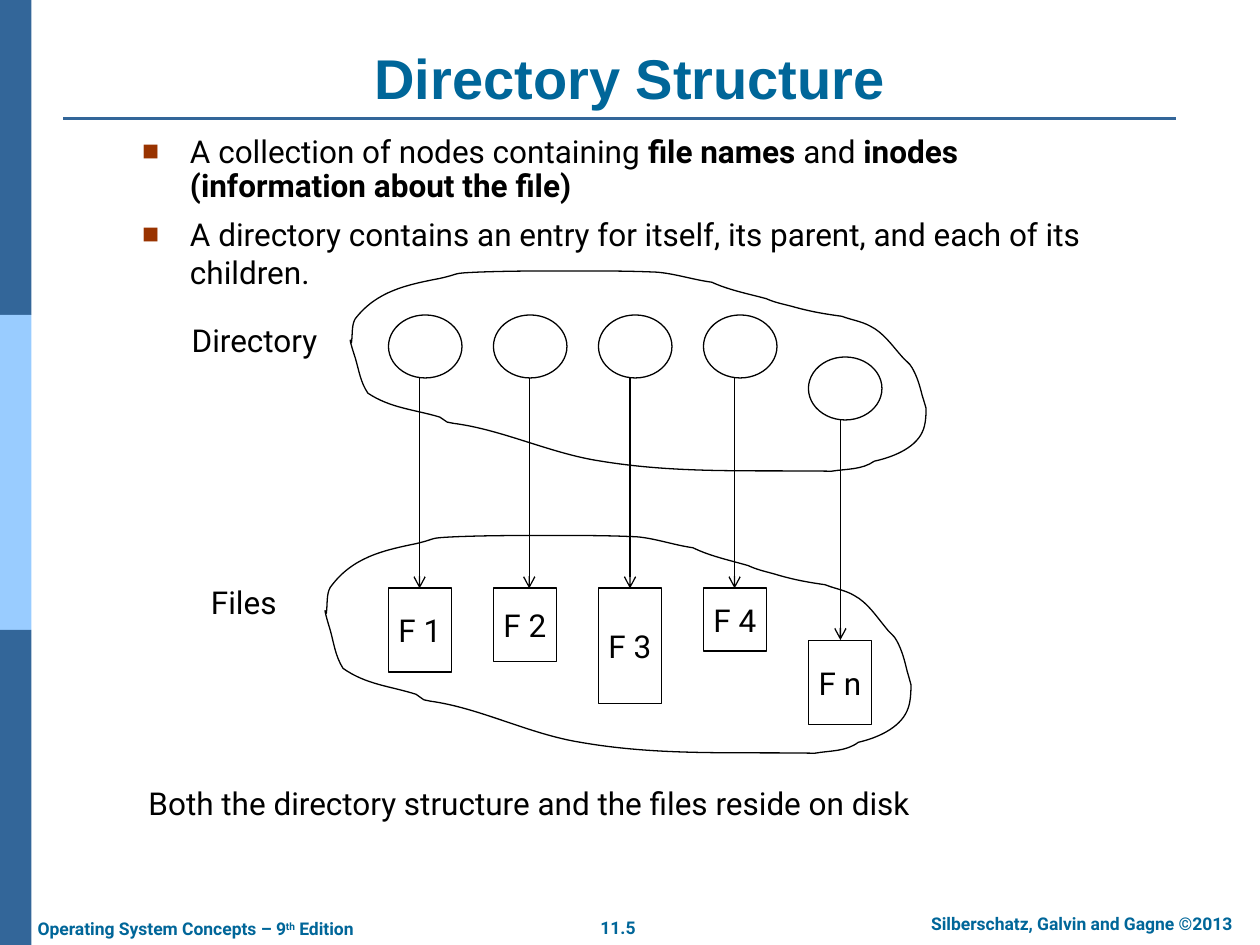
from lxml.etree import SubElement
from pptx import Presentation
from pptx.dml.color import RGBColor
from pptx.enum.shapes import MSO_CONNECTOR as Connector, MSO_SHAPE as Shape
from pptx.enum.text import MSO_ANCHOR as Anchor, PP_ALIGN as Align
from pptx.oxml.ns import qn
from pptx.util import Inches, Pt

BLUE, SKY, BLACK, WHITE = "336699", "99CCFF", "000000", "FFFFFF"
TEAL, RUST = "006699", "993300"
UNIT = 1 / 12  # grid step of the drawing, in inches


def color(code):
    return RGBColor.from_string(code)


def write(shape, lines, size=18, ink=BLACK, font="Roboto", bold=False,
          align=Align.LEFT, anchor=Anchor.TOP, wrap=True):
    """Fill a shape with paragraphs, each a list of (text, bold) runs."""
    frame = shape.text_frame
    frame.word_wrap, frame.vertical_anchor = wrap, anchor
    for index, line in enumerate(lines):
        para = frame.paragraphs[0] if index == 0 else frame.add_paragraph()
        para.alignment = align
        para.font.size, para.font.name, para.font.bold = Pt(size), font, bold
        para.font.color.rgb = color(ink)
        for text, strong in line:
            span = para.add_run()
            span.text = text
            if strong:
                span.font.bold = True
    return frame.paragraphs


deck = Presentation()
deck.slide_width, deck.slide_height = Inches(10), Inches(7.5)
page = deck.slides.add_slide(deck.slide_layouts[6])
shapes = page.shapes

# Side bar in three equal bands
for row, band_color in enumerate((BLUE, SKY, BLUE)):
    band = shapes.add_shape(Shape.RECTANGLE, 0, Inches(2.5 * row), Inches(0.25), Inches(2.5))
    band.shadow.inherit = False
    band.fill.solid()
    band.fill.fore_color.rgb = color(band_color)
    band.line.fill.background()

# Title and footer
for text, place, size, font, align, anchor in (
    ("Directory Structure", (0.5, 0.3, 9, 0.63), 32, "Arial", Align.CENTER, Anchor.BOTTOM),
    ("11.5", (4.62, 7.23, 0.57, 0.27), 10, "Roboto", Align.CENTER, Anchor.TOP),
    ("Silberschatz, Galvin and Gagne ©2013", (7.1, 7.2, 2.97, 0.27), 10, "Roboto",
     Align.CENTER, Anchor.TOP),
):
    box = shapes.add_textbox(*map(Inches, place))
    write(box, [[(text, False)]], size, TEAL, font, True, align, anchor)

box = shapes.add_textbox(Inches(0.2), Inches(7.24), Inches(2.88), Inches(0.27))
edition = [("Operating System Concepts – 9", False), ("th", False), (" Edition", False)]
footer = write(box, [edition], 10, TEAL, bold=True)[0]
footer.runs[1].font._element.set("baseline", "30000")

# Bulleted text
box = shapes.add_textbox(Inches(1.03), Inches(1.03), Inches(8.06), Inches(0.39))
bullets = write(box, [
    [("A collection of nodes containing ", False), ("file names ", True), ("and ", False),
     ("inodes (information about the file)", True)],
    [("A directory contains an entry for itself, its parent, and each of its children.", False)],
])
bullets[0].line_spacing = 0.9
bullets[1].space_before = Pt(6.3)
for para in bullets:
    props = para._p.get_or_add_pPr()
    props.set("marL", str(Inches(0.38)))
    props.set("indent", str(-Inches(0.38)))
    defaults = props.find(qn("a:defRPr"))  # bullet marks must precede it
    for tag, key, value in (("a:buClr", None, None), ("a:buSzPct", "val", "90000"),
                            ("a:buFont", "typeface", "Arial"), ("a:buChar", "char", "■")):
        mark = SubElement(props, qn(tag))
        if key:
            mark.set(key, value)
        else:
            SubElement(mark, qn("a:srgbClr")).set("val", RUST)
        defaults.addprevious(mark)

# Directory nodes and files, in grid units:
# name, left, node top, file top, file height, arrow column
files = (
    ("F 1", 37, 30, 56, 8, 40),
    ("F 2", 47, 30, 56, 7, 50.4),
    ("F 3", 57, 30, 56, 11, 60),
    ("F 4", 67, 30, 56, 6, 70),
    ("F n", 77, 34, 61, 8, 80),
)
lines = [((0.5, 0.94, 9.33, 0.94), BLUE, 1.5, False)]  # rule under the title
for name, left, node_top, file_top, height, column in files:
    for kind, top, wide, high in ((Shape.OVAL, node_top, 7, 6),
                                  (Shape.RECTANGLE, file_top, 6, height)):
        item = shapes.add_shape(kind, *(Inches(n * UNIT) for n in (left, top, wide, high)))
        item.shadow.inherit = False
        item.fill.solid()
        item.fill.fore_color.rgb = color(WHITE)
        item.line.color.rgb = color(BLACK)
        item.line.width = Pt(0.75)
    write(item, [[(name, False)]], align=Align.CENTER, anchor=Anchor.MIDDLE, wrap=False)
    ends = [round(n * UNIT, 2) for n in (column, node_top + 6, column, file_top)]
    lines.append((ends, BLACK, 0.75, True))

# Title rule and arrows
for ends, ink, width, arrow in lines:
    line = shapes.add_connector(Connector.STRAIGHT, *map(Inches, ends))
    line.line.color.rgb = color(ink)
    line.line.width = Pt(width)
    if arrow:
        SubElement(line.line._get_or_add_ln(), qn("a:tailEnd")).set("type", "arrow")
    SubElement(line._element.spPr, qn("a:effectLst"))

# Cloud outline: a start point, then cubic curves (two controls and an end)
start = (2.79, 2.72)
curves = (
    (2.8, 2.65, 2.79, 2.58, 2.82, 2.53), (2.99, 2.31, 3.23, 2.26, 3.49, 2.21),
    (3.67, 2.17, 3.57, 2.17, 3.79, 2.16), (4.04, 2.15, 4.29, 2.15, 4.55, 2.15),
    (4.77, 2.15, 4.99, 2.15, 5.21, 2.16), (5.35, 2.17, 5.5, 2.22, 5.65, 2.24),
    (5.78, 2.3, 5.93, 2.33, 6.08, 2.37), (6.15, 2.4, 6.2, 2.41, 6.28, 2.43),
    (6.42, 2.47, 6.53, 2.49, 6.68, 2.51), (6.76, 2.54, 6.84, 2.55, 6.91, 2.59),
    (7.01, 2.64, 7.08, 2.74, 7.15, 2.82), (7.18, 2.86, 7.22, 2.88, 7.24, 2.92),
    (7.28, 2.99, 7.3, 3.06, 7.32, 3.14), (7.33, 3.17, 7.35, 3.24, 7.35, 3.24),
    (7.35, 3.28, 7.35, 3.37, 7.32, 3.43), (7.26, 3.56, 7.08, 3.63, 6.94, 3.66),
    (6.84, 3.73, 6.72, 3.72, 6.6, 3.74), (5.96, 3.73, 5.38, 3.76, 4.77, 3.66),
    (4.37, 3.6, 3.99, 3.41, 3.6, 3.36), (3.58, 3.36, 3.57, 3.35, 3.55, 3.35),
    (3.53, 3.34, 3.51, 3.32, 3.49, 3.31), (3.29, 3.25, 3.1, 3.24, 2.92, 3.12),
    (2.86, 3.03, 2.85, 2.94, 2.82, 2.84), (2.82, 2.84, 2.78, 2.72, 2.78, 2.7),
    (2.78, 2.69, 2.79, 2.71, 2.79, 2.72),
)

# The same cloud around the directory and, a little larger, around the files
for left, top, wide, high in ((2.78, 2.15, 4.58, 1.61), (2.58, 4.25, 4.66, 1.75)):
    first, *bends = [
        [(Inches(left + (x - 2.78) * wide / 4.58), Inches(top + (y - 2.15) * high / 1.61))
         for x, y in zip(numbers[::2], numbers[1::2])]
        for numbers in (start, *curves)
    ]
    builder = shapes.build_freeform(*first[0])
    builder.add_line_segments([bend[-1] for bend in bends], close=True)
    cloud = builder.convert_to_shape()
    cloud.shadow.inherit = False
    cloud.fill.background()
    cloud.line.color.rgb = color(BLACK)
    cloud.line.width = Pt(0.75)
    # turn each straight segment into its cubic curve
    segments = list(cloud._element.iter(qn("a:lnTo")))
    for segment, bend in zip(segments, bends):
        segment.tag = qn("a:cubicBezTo")
        for point in list(segment):
            segment.remove(point)
        for x, y in bend:
            point = SubElement(segment, qn("a:pt"))
            point.set("x", str(x - cloud.left))
            point.set("y", str(y - cloud.top))

# Labels and closing remark
for text, place, align, anchor in (
    ("Directory", (1.42, 2.5, 1.2, 0.4), Align.CENTER, Anchor.MIDDLE),
    ("Files", (1.57, 4.58, 0.73, 0.4), Align.CENTER, Anchor.MIDDLE),
    ("Both the directory structure and the files reside on disk", (1.08, 6.17, 8.31, 0.42),
     Align.LEFT, Anchor.TOP),
):
    box = shapes.add_textbox(*map(Inches, place))
    write(box, [[(text, False)]], align=align, anchor=anchor, wrap=align == Align.LEFT)

deck.save("out.pptx")
